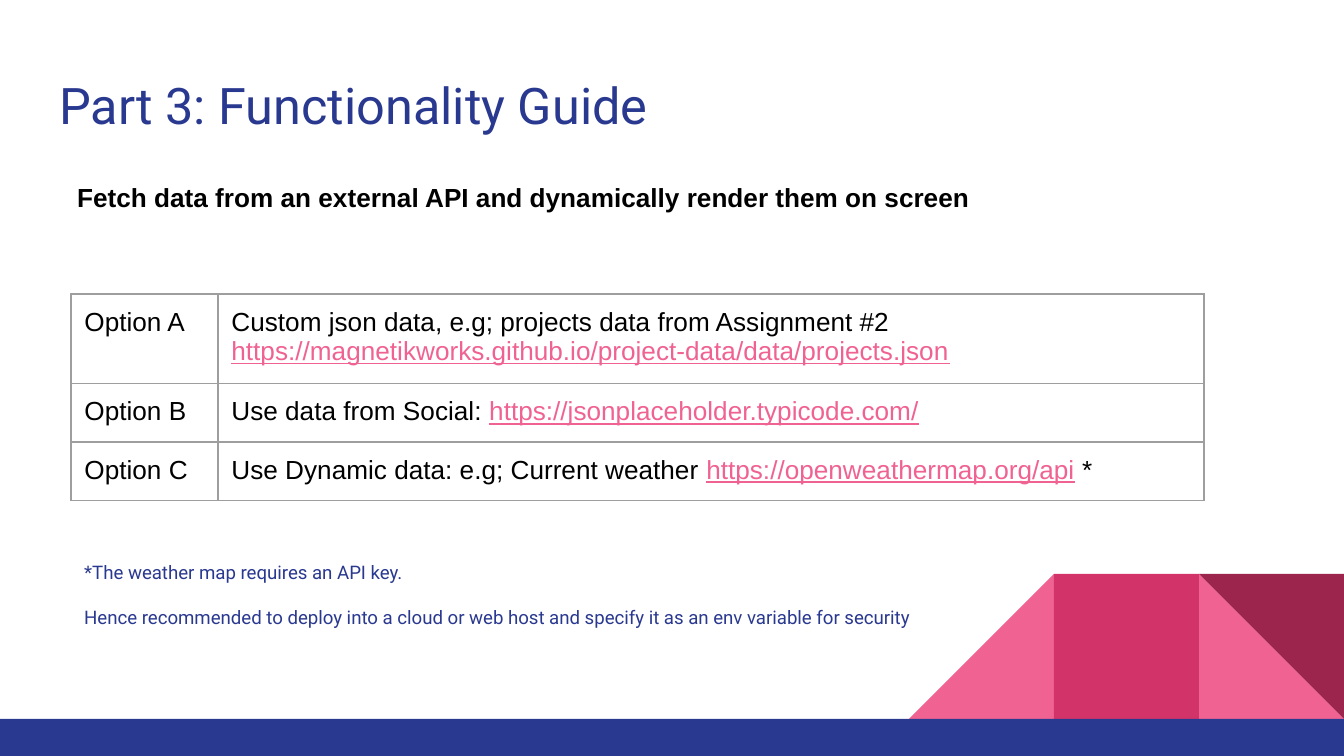
from lxml import etree
from pptx import Presentation
from pptx import util as u
from pptx.dml.color import RGBColor
from pptx.enum import shapes, text
from pptx.oxml.ns import qn

PX = 914400 / 134.4
WIDE, HIGH = 1344, 756
BLACK = RGBColor(0x00, 0x00, 0x00)
NAVY = RGBColor(0x2A, 0x39, 0x90)
PINK = RGBColor(0xF0, 0x62, 0x92)
ROSE = RGBColor(0xD2, 0x33, 0x69)
WINE = RGBColor(0x9C, 0x25, 0x4D)
GREY = "9E9E9E"

OPTIONS = [
    ("Option A", [
        [("Custom json data, e.g; projects data from Assignment #2", False)],
        [("https://magnetikworks.github.io/project-data/data/projects.json", True)]]),
    ("Option B", [
        [("Use data from Social: ", False),
         ("https://jsonplaceholder.typicode.com/", True)]]),
    ("Option C", [
        [("Use Dynamic data: e.g; Current weather ", False),
         ("https://openweathermap.org/api", True), (" *", False)]]),
]
NOTES = [
    "*The weather map requires an API key.",
    "Hence recommended to deploy into a cloud or web host and specify it "
    "as an env variable for security",
]


def px(*sizes):
    return [u.Emu(round(size * PX)) for size in sizes]


def style(run, size, color, face="Arial", bold=False):
    font = run.font
    font.size, font.name, font.bold = u.Pt(size), face, bold
    font.color.rgb = color


def pad(frame):
    frame.margin_left = frame.margin_right = u.Inches(0.1)
    frame.margin_top = frame.margin_bottom = u.Inches(0.1)
    frame.word_wrap = True
    frame.vertical_anchor = text.MSO_ANCHOR.TOP


def block(slide, kind, box, color):
    part = slide.shapes.add_shape(kind, *px(*box))
    part.shadow.inherit = False
    part.fill.solid()
    part.fill.fore_color.rgb = color
    part.line.fill.background()
    return part


def decor(slide, left, top, side, base):
    """Three squares of triangles and a block, above a full-width bar."""
    tri = shapes.MSO_SHAPE.RIGHT_TRIANGLE
    rect = shapes.MSO_SHAPE.RECTANGLE
    spots = [(left + step * side, top, side, side) for step in range(3)]
    block(slide, tri, spots[2], PINK)
    ramp = block(slide, tri, spots[0], PINK)
    ramp._element.spPr.xfrm.set("flipH", "1")
    block(slide, rect, spots[1], ROSE)
    block(slide, tri, spots[2], WINE).rotation = 180
    block(slide, rect, (0, base, WIDE, HIGH - base), NAVY)


def head(slide, box, words):
    title = slide.shapes.title
    title.left, title.top, title.width, title.height = px(*box)
    frame = title.text_frame
    frame.text = words
    pad(frame)
    para = frame.paragraphs[0]
    para.alignment = text.PP_ALIGN.LEFT
    style(para.runs[0], 27, NAVY, "Roboto")


def lead(slide, box, words):
    frame = slide.shapes.add_textbox(*px(*box)).text_frame
    pad(frame)
    frame.text = words
    para = frame.paragraphs[0]
    para.line_spacing = 1.15
    style(para.runs[0], 14, BLACK, bold=True)


def border(cell):
    props = cell._tc.get_or_add_tcPr()
    for at, side in enumerate(("a:lnL", "a:lnR", "a:lnT", "a:lnB")):
        line = etree.Element(qn(side), w=str(u.Pt(0.75)))
        fill = etree.SubElement(line, qn("a:solidFill"))
        etree.SubElement(fill, qn("a:srgbClr"), val=GREY)
        props.insert(at, line)


def write(cell, lines):
    cell.margin_left = cell.margin_right = u.Inches(0.1)
    cell.margin_top = cell.margin_bottom = u.Inches(0.1)
    cell.fill.background()
    border(cell)
    frame = cell.text_frame
    for at, line in enumerate(lines):
        para = frame.add_paragraph() if at else frame.paragraphs[0]
        for words, link in line:
            run = para.add_run()
            run.text = words
            style(run, 14, PINK if link else BLACK)
            run.font.underline = link


def grid(slide, left, top, cols, rows):
    box = px(left, top, sum(cols), sum(rows))
    table = slide.shapes.add_table(len(rows), len(cols), *box).table
    table.first_row = table.horz_banding = False
    for col, size in zip(table.columns, px(*cols)):
        col.width = size
    for row, size, (name, lines) in zip(table.rows, px(*rows), OPTIONS):
        row.height = size
        write(row.cells[0], [[(name, False)]])
        write(row.cells[1], lines)


def notes(slide, box):
    frame = slide.shapes.add_textbox(*px(*box)).text_frame
    pad(frame)
    for at, words in enumerate(NOTES):
        para = frame.add_paragraph() if at else frame.paragraphs[0]
        para.text = words
        if at:
            para.space_before = u.Pt(12.5)
        style(para.runs[0], 10, NAVY, "Roboto")


def main():
    deck = Presentation()
    deck.slide_width, deck.slide_height = px(WIDE, HIGH)
    slide = deck.slides.add_slide(deck.slide_layouts[5])
    # Corner shapes and bottom bar
    decor(slide, 909, 574, 145, 719)
    # Title and lead sentence
    head(slide, (46, 61, 1252, 89), "Part 3: Functionality Guide")
    lead(slide, (64, 163, 1048, 516),
         "Fetch data from an external API and dynamically render them on screen")
    # Options table and its footnote
    grid(slide, 71, 294, (147, 986), (86, 57, 57))
    notes(slide, (71, 547, 882, 95))
    deck.save("out.pptx")


if __name__ == "__main__":
    main()
